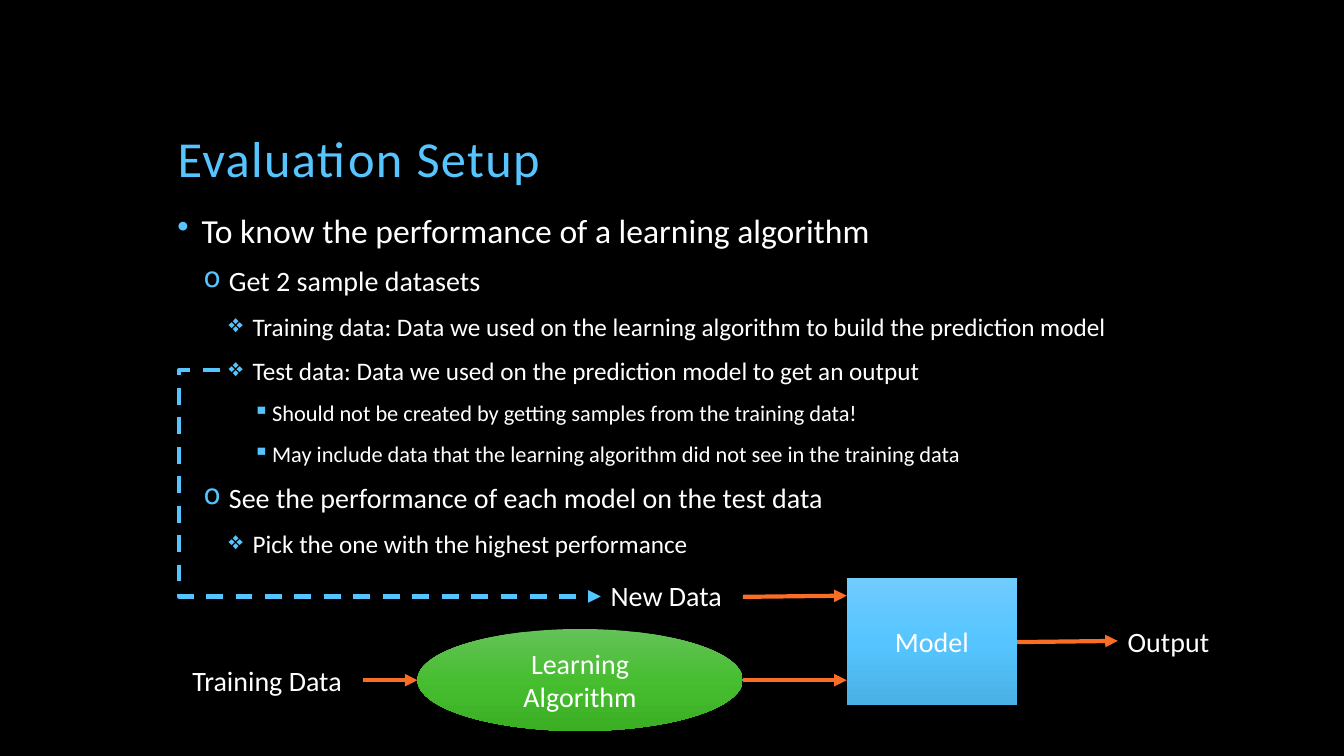
"""Build the Evaluation Setup slide with its outline and model flow diagram."""
from dataclasses import dataclass

from lxml import etree
from pptx import Presentation
from pptx.dml.color import RGBColor
from pptx.enum import dml, shapes, text
from pptx.oxml import ns
from pptx.util import Cm, Pt


@dataclass(frozen=True)
class Theme:
    font: str = "Calibri"
    back: str = "000000"
    ink: str = "FFFFFF"
    accent: str = "56C5FF"
    arrow: str = "F86E24"
    blues: tuple = ("70CBFF", "56C5FF", "4AB0E5")
    greens: tuple = ("64C258", "47BE30", "3BAF24")
    title: int = 36
    levels: tuple = (24, 20, 18, 16)
    label: int = 20
    line: int = 3


theme = Theme()


def add_text(para, words, size, color=theme.ink):
    span = para.add_run()
    span.text = words
    span.font.name = theme.font
    span.font.size = Pt(size)
    span.font.color.rgb = RGBColor.from_string(color)
    return span


def add_element(parent, tag, **attributes):
    return etree.SubElement(parent, ns.qn(tag), attributes)


deck = Presentation()
deck.slide_width, deck.slide_height = Cm(33.87), Cm(19.05)
page = deck.slides.add_slide(deck.slide_layouts[5])
page.background.fill.solid()
page.background.fill.fore_color.rgb = RGBColor.from_string(theme.back)

title = page.shapes.title
title.left, title.top, title.width, title.height = Cm(4.22), Cm(1.07), Cm(25.4), Cm(3.81)
title.text_frame.auto_size = text.MSO_AUTO_SIZE.NONE
title.text_frame.vertical_anchor = text.MSO_ANCHOR.BOTTOM
para = title.text_frame.paragraphs[0]
para.alignment = text.PP_ALIGN.LEFT
para.line_spacing = 0.9
span = add_text(para, "Evaluation Setup", theme.title, theme.accent)
span.font._element.set("spc", "100")

outline = [
    (0, "To know the performance of a learning algorithm"),
    (1, "Get 2 sample datasets"),
    (2, "Training data: Data we used on the learning algorithm to build the prediction model"),
    (2, "Test data: Data we used on the prediction model to get an output"),
    (3, "Should not be created by getting samples from the training data!"),
    (3, "May include data that the learning algorithm did not see in the training data"),
    (1, "See the performance of each model on the test data"),
    (2, "Pick the one with the highest performance"),
]
bullets = [("•", 0.61, 0.61), ("o", 1.3, 0.64), ("❖", 1.9, 0.61), ("▪", 2.39, 0.48)]
body = page.shapes.add_textbox(Cm(4.22), Cm(5.28), Cm(25.37), Cm(11.43)).text_frame
body.word_wrap = True
for index, (level, words) in enumerate(outline):
    para = body.add_paragraph() if index else body.paragraphs[0]
    para.level = level
    mark, margin, hanging = bullets[level]
    properties = para._p.get_or_add_pPr()
    properties.set("marL", str(Cm(margin)))
    properties.set("indent", str(-Cm(hanging)))
    add_element(add_element(properties, "a:buClr"), "a:srgbClr", val=theme.accent)
    add_element(properties, "a:buChar", char=mark)
    para.line_spacing = 0.9
    para.space_before = Pt(12 if index else 0)
    add_text(para, words, theme.levels[level])

labels = [
    ("Output", 28.17, 15.6, 2.64, 1.12, False),
    ("New Data", 15.14, 14.45, 3.58, 1.14, True),
    ("Training Data", 4.6, 16.59, 4.55, 1.12, True),
]
for words, left, top, width, height, wraps in labels:
    frame = page.shapes.add_textbox(Cm(left), Cm(top), Cm(width), Cm(height)).text_frame
    frame.word_wrap = wraps
    frame.auto_size = text.MSO_AUTO_SIZE.SHAPE_TO_FIT_TEXT
    add_text(frame.paragraphs[0], words, theme.label)

blocks = [
    ("Model", shapes.MSO_SHAPE.RECTANGLE, 21.34, 14.57, 4.29, 3.2, theme.blues),
    ("Learning Algorithm", shapes.MSO_SHAPE.OVAL, 10.52, 15.85, 8.2, 2.57, theme.greens),
]
for words, kind, left, top, width, height, shades in blocks:
    block = page.shapes.add_shape(kind, Cm(left), Cm(top), Cm(width), Cm(height))
    block.shadow.inherit = False
    block.line.fill.background()
    block.fill.gradient()
    block.fill.gradient_angle = 270
    stops = block._element.spPr.find(ns.qn("a:gradFill")).find(ns.qn("a:gsLst"))
    for stop in list(stops):
        stops.remove(stop)
    for position, shade in zip((0, 50000, 100000), shades):
        stop = add_element(stops, "a:gs", pos=str(position))
        add_element(stop, "a:srgbClr", val=shade)
    frame = block.text_frame
    frame.word_wrap = True
    frame.vertical_anchor = text.MSO_ANCHOR.MIDDLE
    frame.paragraphs[0].alignment = text.PP_ALIGN.CENTER
    add_text(frame.paragraphs[0], words, theme.label)

straight, elbow = shapes.MSO_CONNECTOR.STRAIGHT, shapes.MSO_CONNECTOR.ELBOW
arrows = [
    (straight, 18.72, 15.04, 21.34, 15.01, theme.arrow),
    (straight, 25.63, 16.18, 28.17, 16.15, theme.arrow),
    (straight, 18.72, 17.14, 21.34, 17.14, theme.arrow),
    (straight, 9.14, 17.14, 10.52, 17.14, theme.arrow),
    (elbow, 5.54, 9.32, 15.14, 15.03, theme.accent),
]
for kind, x1, y1, x2, y2, color in arrows:
    arrow = page.shapes.add_connector(kind, Cm(x1), Cm(y1), Cm(x2), Cm(y2))
    arrow.line.color.rgb = RGBColor.from_string(color)
    arrow.line.width = Pt(theme.line)
    outline_style = arrow._element.spPr
    if kind == elbow:
        arrow.line.dash_style = dml.MSO_LINE.DASH
        guides = outline_style.find(ns.qn("a:prstGeom")).find(ns.qn("a:avLst"))
        add_element(guides, "a:gd", name="adj1", fmla="val -10700")
    add_element(outline_style.find(ns.qn("a:ln")), "a:tailEnd", type="triangle")
    add_element(outline_style, "a:effectLst")

deck.save("out.pptx")
